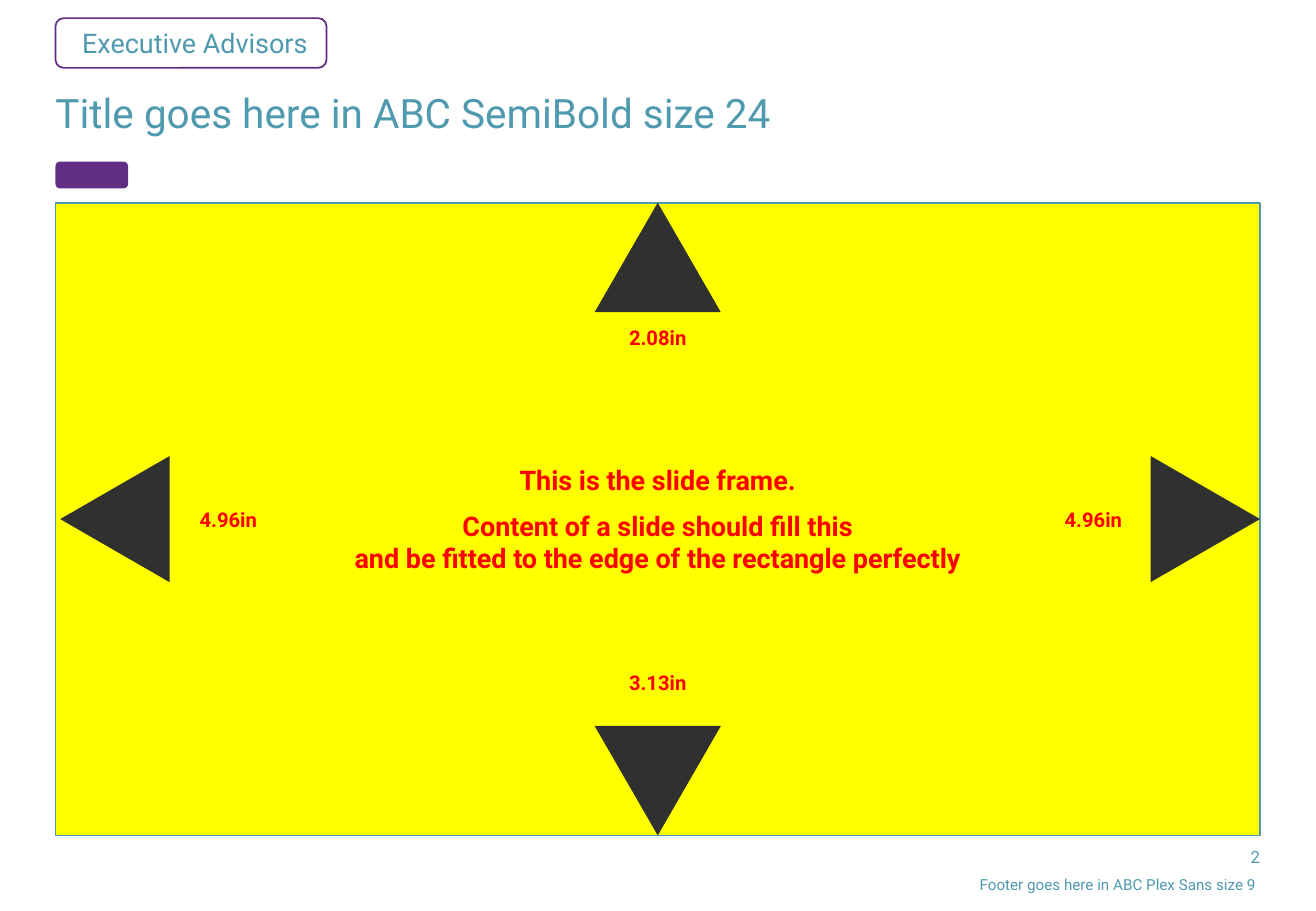
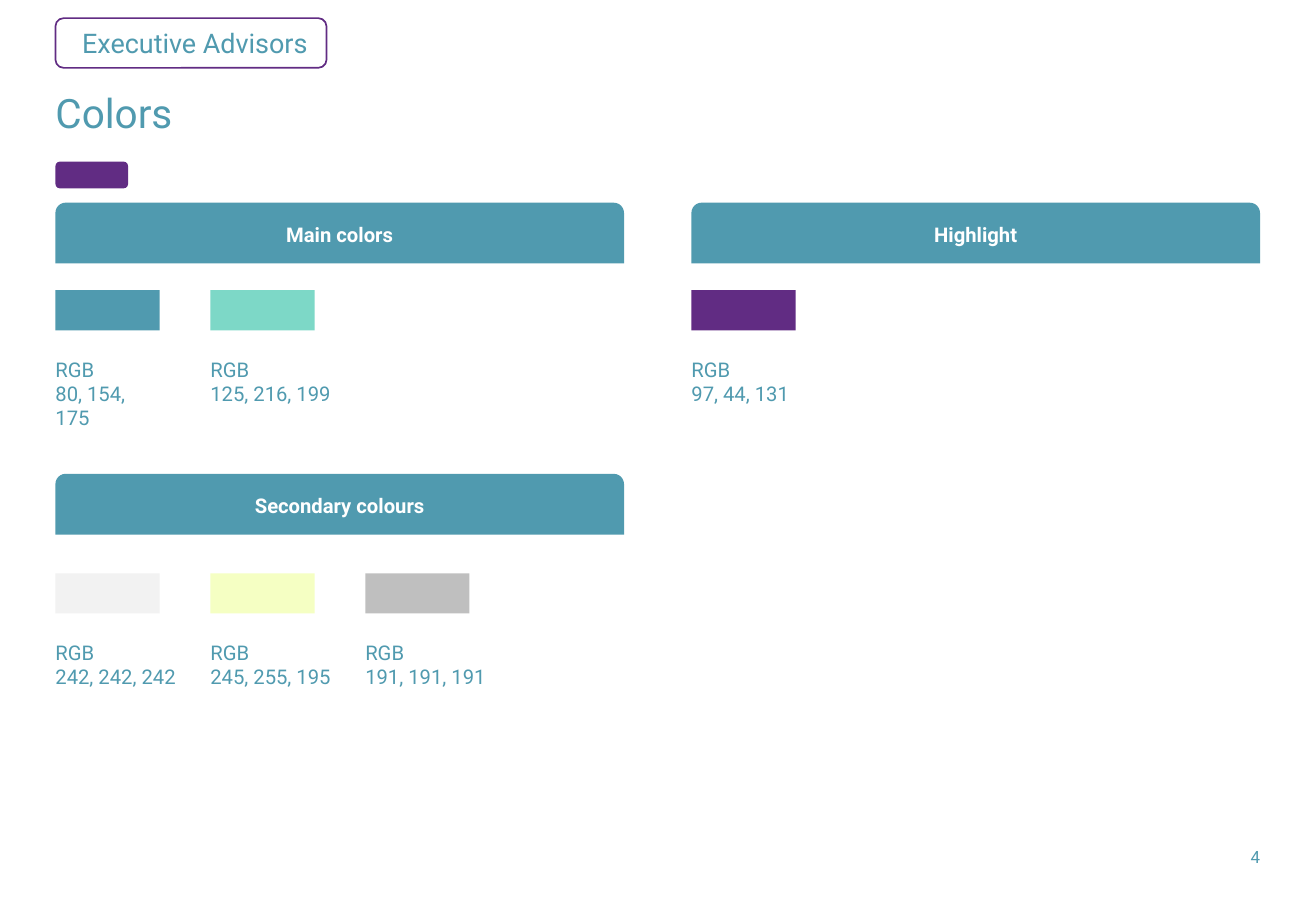
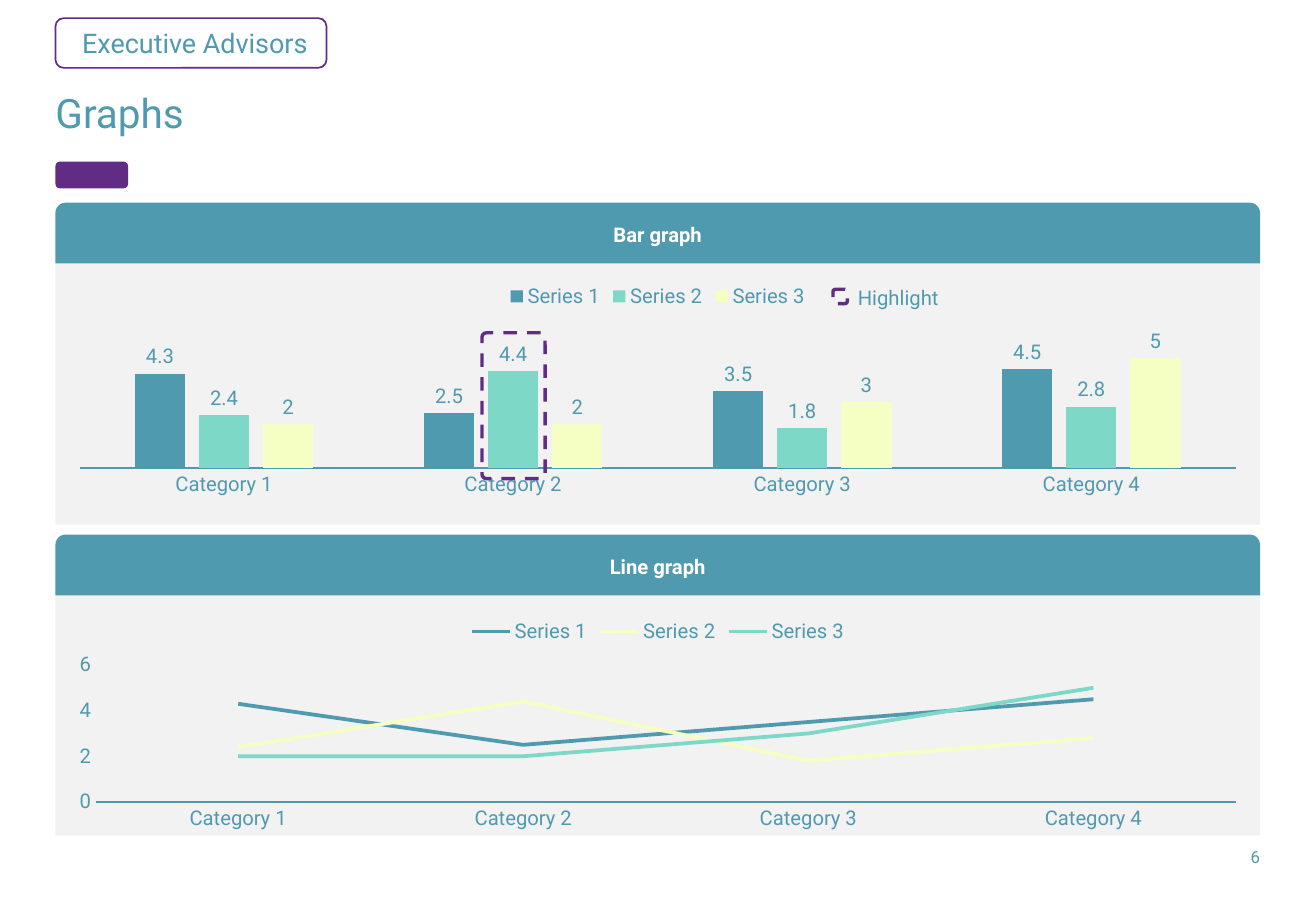
from dataclasses import dataclass

from lxml import etree
from pptx import Presentation
from pptx.chart.data import CategoryChartData
from pptx.dml.color import RGBColor
from pptx.enum.chart import XL_CHART_TYPE as ChartType
from pptx.enum.chart import XL_LABEL_POSITION as LabelPosition
from pptx.enum.chart import XL_LEGEND_POSITION as LegendPosition
from pptx.enum.chart import XL_TICK_MARK as TickMark
from pptx.enum.dml import MSO_LINE as LineStyle
from pptx.enum.shapes import MSO_SHAPE as Shape
from pptx.enum.text import MSO_ANCHOR as Anchor
from pptx.enum.text import MSO_AUTO_SIZE as AutoSize
from pptx.enum.text import PP_ALIGN as Align
from pptx.oxml.ns import qn
from pptx.util import Cm, Pt


@dataclass(frozen=True)
class Theme:
    font: str = "Roboto"
    teal: str = "509AAF"
    mint: str = "7DD8C7"
    purple: str = "612C83"
    lime: str = "F5FFC3"
    pale: str = "F2F2F2"
    grey: str = "BFBFBF"
    dark: str = "303030"
    yellow: str = "FFFF00"
    red: str = "FF0000"
    white: str = "FFFFFF"
    title_size: int = 24
    heading_size: int = 16
    body_size: int = 12
    page_size: int = 10
    footer_size: int = 9


theme = Theme()

# Content frame, in centimetres
LEFT, TOP, WIDTH, HEIGHT = 1.16, 4.24, 25.19, 13.23
RIGHT, BOTTOM = LEFT + WIDTH, TOP + HEIGHT
CENTER_X, CENTER_Y = LEFT + WIDTH / 2, TOP + HEIGHT / 2
BANNER_HEIGHT = 1.27


def add_shape(slide, kind, box, fill=None, line=None, line_width=1):
    """Add a preset shape, or a text box if kind is None; box is in centimetres."""
    lengths = [Cm(value) for value in box]
    if kind is None:
        return slide.shapes.add_textbox(*lengths)
    shape = slide.shapes.add_shape(kind, *lengths)
    shape.shadow.inherit = False
    if fill:
        shape.fill.solid()
        shape.fill.fore_color.rgb = RGBColor.from_string(fill)
    else:
        shape.fill.background()
    if line:
        shape.line.color.rgb = RGBColor.from_string(line)
        shape.line.width = Pt(line_width)
    else:
        shape.line.fill.background()
    return shape


def write_text(shape, paragraphs, size, color=theme.teal, bold=False,
               align=Align.LEFT, anchor=Anchor.MIDDLE, left_inset=0):
    """Fill a shape with paragraphs; a newline inside one is a line break."""
    frame = shape.text_frame
    frame.auto_size = AutoSize.NONE
    frame.word_wrap = True
    frame.vertical_anchor = anchor
    frame.margin_left = Cm(left_inset)
    frame.margin_right = frame.margin_top = frame.margin_bottom = 0
    for index, text in enumerate(paragraphs):
        paragraph = frame.add_paragraph() if index else frame.paragraphs[0]
        paragraph.alignment = align
        paragraph.space_before = Pt(size / 2 if index else 0)
        for line_index, line in enumerate(text.split("\n")):
            if line_index:
                paragraph.add_line_break()
            run = paragraph.add_run()
            run.text = line
            run.font.name = theme.font
            run.font.size = Pt(size)
            run.font.bold = bold
            run.font.color.rgb = RGBColor.from_string(color)


presentation = Presentation()
presentation.slide_width = Cm(27.52)
presentation.slide_height = Cm(19.05)

# Title, badge, chip and page number on every slide
slides = []
for title, page in [
    ("Title goes here in ABC SemiBold size 24", "2"),
    ("Colors", "4"),
    ("Graphs", "6"),
]:
    slide = presentation.slides.add_slide(presentation.slide_layouts[5])
    slides.append(slide)
    heading = slide.shapes.title
    heading.left, heading.top = Cm(LEFT), Cm(1.83)
    heading.width, heading.height = Cm(WIDTH), Cm(1.5)
    write_text(heading, [title], theme.title_size, anchor=Anchor.TOP)
    badge = add_shape(slide, Shape.ROUNDED_RECTANGLE, (LEFT, 0.38, 5.67, 1.04),
                      line=theme.purple)
    write_text(badge, ["Executive Advisors"], theme.heading_size, left_inset=0.51)
    add_shape(slide, Shape.ROUNDED_RECTANGLE, (LEFT, 3.38, 1.52, 0.56), theme.purple)
    number = add_shape(slide, None, (RIGHT - 1, 17.65, 1, 0.53))
    write_text(number, [page], theme.page_size, align=Align.RIGHT)

frame_slide, color_slide, graph_slide = slides

# Slide frame
panel = add_shape(frame_slide, Shape.RECTANGLE, (LEFT, TOP, WIDTH, HEIGHT),
                  theme.yellow, theme.teal)
write_text(panel, [
    "This is the slide frame.",
    "Content of a slide should fill this\n"
    "and be fitted to the edge of the rectangle perfectly",
], theme.heading_size, theme.red, bold=True, align=Align.CENTER)

ARROW_WIDTH, ARROW_HEIGHT = 2.64, 2.29
LABEL_WIDTH, LABEL_HEIGHT = 2.54, 0.76
reach = ARROW_HEIGHT / 2
for rotation, x, y, shift_x, shift_y, distance in [
    (0, CENTER_X, TOP + reach, 0, 1.68, "2.08in"),
    (90, RIGHT - reach, CENTER_Y, -2.34, 0, "4.96in"),
    (180, CENTER_X, BOTTOM - reach, 0, -2.06, "3.13in"),
    (270, LEFT + 0.1 + reach, CENTER_Y, 2.37, 0, "4.96in"),
]:
    arrow = add_shape(frame_slide, Shape.ISOSCELES_TRIANGLE,
                      (x - ARROW_WIDTH / 2, y - reach, ARROW_WIDTH, ARROW_HEIGHT),
                      theme.dark)
    arrow.rotation = rotation
    label = add_shape(frame_slide, None,
                      (x + shift_x - LABEL_WIDTH / 2, y + shift_y - LABEL_HEIGHT / 2,
                       LABEL_WIDTH, LABEL_HEIGHT))
    write_text(label, [distance], theme.body_size, theme.red, bold=True,
               align=Align.CENTER)

footer = add_shape(frame_slide, None, (RIGHT - 8.74, 18.31, 8.64, 0.38))
write_text(footer, ["Footer goes here in ABC Plex Sans size 9"], theme.footer_size,
           align=Align.RIGHT)

# Colour groups
GROUP_WIDTH, SWATCH_PITCH = 11.89, 3.24
for name, left, top, swatch_top, swatches in [
    ("Main colors", LEFT, TOP, 6.07,
     [(theme.teal, "80, 154,\n175"), (theme.mint, "125, 216, 199")]),
    ("Highlight", RIGHT - GROUP_WIDTH, TOP, 6.07, [(theme.purple, "97, 44, 131")]),
    ("Secondary colours", LEFT, 9.91, 11.99,
     [(theme.pale, "242, 242, 242"), (theme.lime, "245, 255, 195"),
      (theme.grey, "191, 191, 191")]),
]:
    banner = add_shape(color_slide, Shape.ROUND_2_SAME_RECTANGLE,
                       (left, top, GROUP_WIDTH, BANNER_HEIGHT), theme.teal)
    write_text(banner, [name], theme.body_size, theme.white, bold=True,
               align=Align.CENTER)
    for column, (color, values) in enumerate(swatches):
        swatch_left = left + column * SWATCH_PITCH
        add_shape(color_slide, Shape.RECTANGLE, (swatch_left, swatch_top, 2.18, 0.84),
                  color)
        label = add_shape(color_slide, None, (swatch_left, swatch_top + 1.4, 2.8, 1.68))
        write_text(label, ["RGB\n" + values], theme.body_size, anchor=Anchor.TOP)

# Graphs
chart_data = CategoryChartData()
chart_data.categories = [f"Category {number}" for number in range(1, 5)]
for name, values in [
    ("Series 1", (4.3, 2.5, 3.5, 4.5)),
    ("Series 2", (2.4, 4.4, 1.8, 2.8)),
    ("Series 3", (2, 2, 3, 5)),
]:
    chart_data.add_series(name, values)

BODY_HEIGHT = 5.46
teal = RGBColor.from_string(theme.teal)
for name, top, body_top, kind, chart_top, chart_height, colors in [
    ("Bar graph", TOP, TOP + BANNER_HEIGHT, ChartType.COLUMN_CLUSTERED, 5.66, 6.55,
     (theme.teal, theme.mint, theme.lime)),
    ("Line graph", 11.18, BOTTOM - BODY_HEIGHT, ChartType.LINE, 12.67, 4.8,
     (theme.teal, theme.lime, theme.mint)),
]:
    add_shape(graph_slide, Shape.RECTANGLE, (LEFT, body_top, WIDTH, BODY_HEIGHT),
              theme.pale)
    chart = graph_slide.shapes.add_chart(kind, Cm(LEFT), Cm(chart_top), Cm(WIDTH),
                                         Cm(chart_height), chart_data).chart
    banner = add_shape(graph_slide, Shape.ROUND_2_SAME_RECTANGLE,
                       (LEFT, top, WIDTH, BANNER_HEIGHT), theme.teal)
    write_text(banner, [name], theme.body_size, theme.white, bold=True,
               align=Align.CENTER)

    chart.has_title = False
    chart.has_legend = True
    chart.legend.position = LegendPosition.TOP
    chart.legend.include_in_layout = False
    category_axis, value_axis, plot = chart.category_axis, chart.value_axis, chart.plots[0]
    for font in (chart.font, chart.legend.font, category_axis.tick_labels.font,
                 value_axis.tick_labels.font):
        font.name = theme.font
        font.size = Pt(theme.body_size)
        font.color.rgb = teal
    for axis in (category_axis, value_axis):
        axis.major_tick_mark = axis.minor_tick_mark = TickMark.NONE
        axis.has_major_gridlines = False
    category_axis.format.line.color.rgb = teal
    value_axis.format.line.fill.background()
    value_axis.minimum_scale, value_axis.maximum_scale = 0, 6
    value_axis.major_unit = 2
    plot.vary_by_categories = False

    if kind == ChartType.LINE:
        category_axis.format.line.width = Pt(0.75)
        for series, color in zip(plot.series, colors):
            series.smooth = False
            series.format.line.color.rgb = RGBColor.from_string(color)
            series.format.line.width = Pt(2.25)
        continue

    category_axis.format.line.width = Pt(1)
    value_axis.visible = False
    plot.gap_width, plot.overlap = 219, -27
    for series, color in zip(plot.series, colors):
        series.format.fill.solid()
        series.format.fill.fore_color.rgb = RGBColor.from_string(color)
        labels = series.data_labels
        labels.show_value = True
        labels.position = LabelPosition.OUTSIDE_END
        labels.font.name = theme.font
        labels.font.size = Pt(theme.body_size)
        labels.font.color.rgb = teal
    plot_area = chart.element.find(".//" + qn("c:plotArea"))
    for old_layout in plot_area.findall(qn("c:layout")):
        plot_area.remove(old_layout)
    layout = etree.Element(qn("c:layout"))
    manual = etree.SubElement(layout, qn("c:manualLayout"))
    for tag, value in [
        ("layoutTarget", "inner"), ("xMode", "edge"), ("yMode", "edge"),
        ("x", "0.02"), ("y", "0.21"), ("w", "0.96"), ("h", "0.42"),
    ]:
        etree.SubElement(manual, qn("c:" + tag)).set("val", value)
    plot_area.insert(0, layout)

# Highlighted bar and its legend entry
for box, corner in [((10.08, 6.96, 1.32, 3.05), 0.07), ((17.42, 6.05, 0.3, 0.3), 0.17)]:
    outline = add_shape(graph_slide, Shape.ROUNDED_RECTANGLE, box,
                        line=theme.purple, line_width=2)
    outline.adjustments[0] = corner
    outline.line.dash_style = LineStyle.DASH
legend_label = add_shape(graph_slide, None, (17.94, 5.83, 2.3, 0.76))
write_text(legend_label, ["Highlight"], theme.body_size)

presentation.save("out.pptx")
